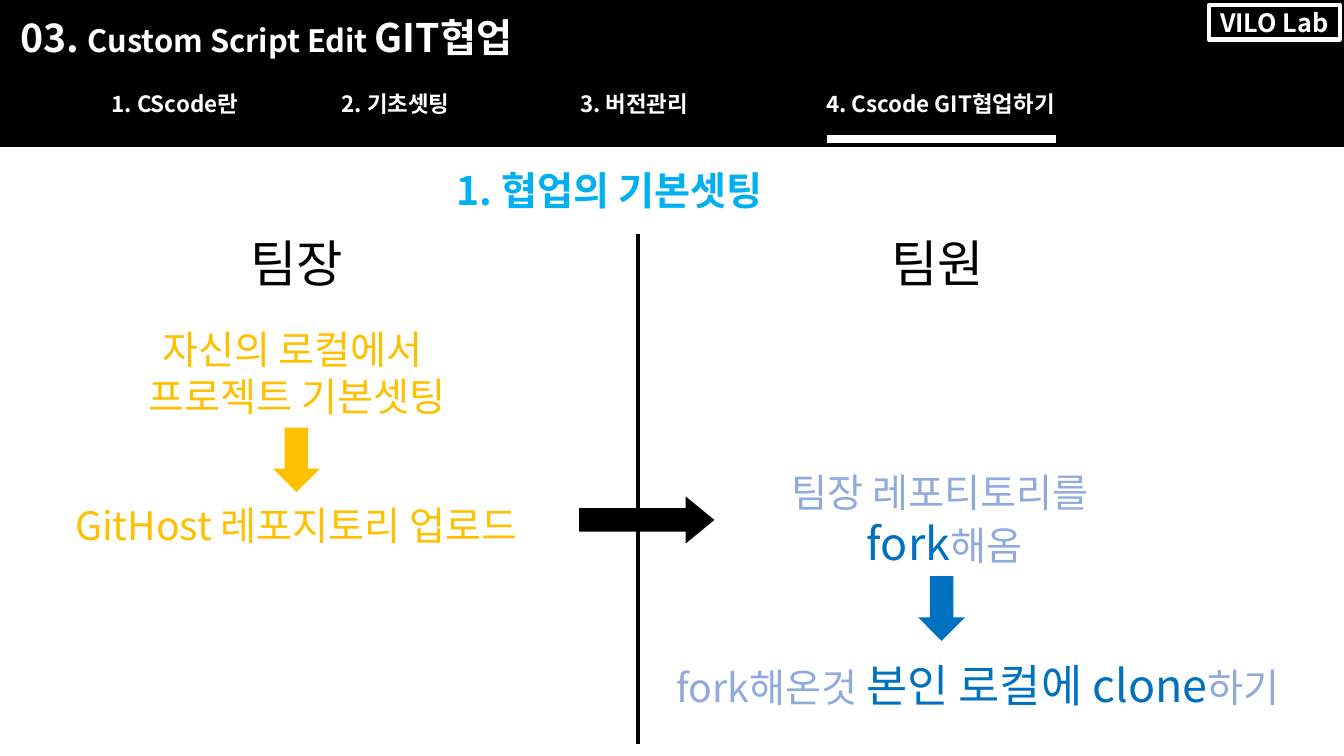
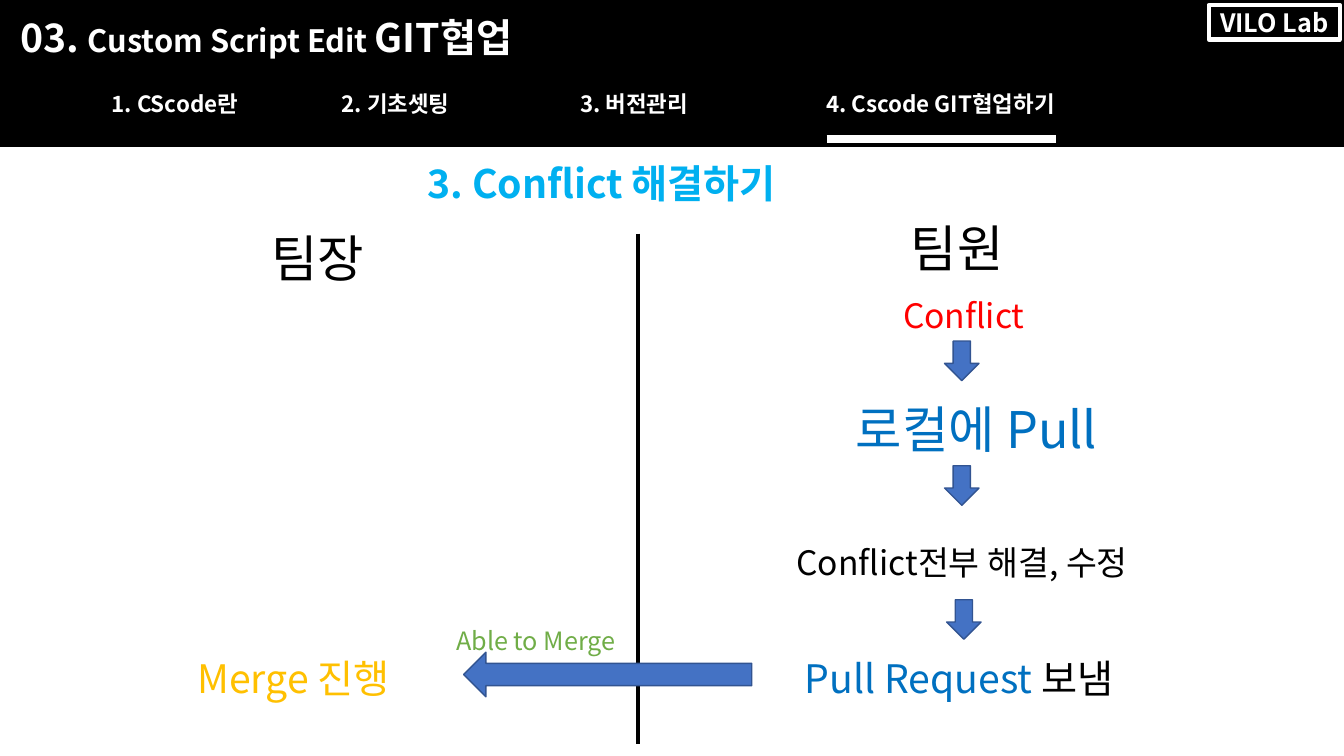
from pptx import Presentation
from pptx.dml.color import RGBColor
from pptx.enum.shapes import MSO_CONNECTOR as Link, MSO_SHAPE as Kind
from pptx.enum.text import MSO_ANCHOR as Anchor, MSO_AUTO_SIZE as Auto, PP_ALIGN as Align
from pptx.oxml.ns import qn
from pptx.util import Inches, Pt
from lxml.etree import SubElement as Sub

FONT = "Noto Sans CJK KR"
WHITE, BLACK, CYAN, GOLD = "FFFFFF", "000000", "00B0F0", "FFC000"
PALE, BLUE, RED, GREEN = "8FAADC", "0070C0", "FF0000", "70AD47"
STEEL, NAVY = "4472C4", "325491"
COLS, ROWS = 160, 90
MID = 76
STEP = 61.3
TABS = [(12.1, 29.9, "1. CScode란"), (39.5, 24.2, "2. 기초셋팅"),
        (67.9, 24.2, "3. 버전관리"), (97.2, 33.4, "4. Cscode GIT협업하기")]


def cell(num):
    """Turn grid cells, twelve to the inch, into a length."""
    return Inches(num / 12)


def hue(code):
    """Turn a hex string into a colour."""
    return RGBColor.from_string(code)


def put(item, form):
    """Set every attribute named in a dict of format values."""
    for name, value in form.items():
        setattr(item, name, value)


def place(shape, col, row, wide, high):
    """Move a shape to its grid cells."""
    put(shape, dict(left=cell(col), top=cell(row), width=cell(wide), height=cell(high)))


def write(shape, paras, frame, align=Align.CENTER, bold=False):
    """Fill a shape with paragraphs of (text, size, colour) runs."""
    body = shape.text_frame
    put(body, dict(word_wrap=True) | frame)
    for num, runs in enumerate(paras):
        para = body.add_paragraph() if num else body.paragraphs[0]
        para.alignment = align
        for words, size, code in runs:
            run = para.add_run()
            run.text = words
            put(run.font, dict(name=FONT, size=Pt(size), bold=bold))
            run.font.color.rgb = hue(code)
            Sub(run.font._element, qn("a:ea"), typeface=FONT)


def label(slide, col, row, wide, *paras, **form):
    """Add a text box as high as its lines need."""
    high = 1.2 + sum(max(size for _, size, _ in runs) for runs in paras) / 5
    box = slide.shapes.add_textbox(cell(col), cell(row), cell(wide), cell(high))
    write(box, paras, dict(auto_size=Auto.SHAPE_TO_FIT_TEXT), **form)


def shape(slide, kind, spot, fill=None, edge=None, thick=1):
    """Add a preset shape with an optional fill and edge."""
    item = slide.shapes.add_shape(kind, *map(cell, spot))
    item.shadow.inherit = False
    for paint, code in ((item.fill, fill), (item.line.fill, edge)):
        if code:
            paint.solid()
            paint.fore_color.rgb = hue(code)
        else:
            paint.background()
    if edge:
        item.line.width = Pt(thick)
    return item


def rule(slide, start, end, code, thick):
    """Draw a straight line between two grid points."""
    line = slide.shapes.add_connector(Link.STRAIGHT, *map(cell, start + end))
    line.line.color.rgb = hue(code)
    line.line.width = Pt(thick)
    Sub(line._element.spPr, qn("a:effectLst"))


def base(deck, head, spot, lead, mate):
    """Add a slide with its band, title, tabs, heading and two columns."""
    slide = deck.slides.add_slide(deck.slide_layouts[5])
    band = shape(slide, Kind.RECTANGLE, (0, 0, COLS, 17.4), BLACK, BLACK)
    slide.shapes._spTree.insert(2, band._element)
    title = slide.shapes.title
    place(title, 1.2, 1, 70.2, 6.8)
    write(title, [[("03. ", 28, WHITE), ("Custom Script Edit ", 22, WHITE),
                   ("GIT협업", 28, WHITE)]],
          dict(vertical_anchor=Anchor.MIDDLE, auto_size=Auto.SHAPE_TO_FIT_TEXT),
          Align.LEFT, True)
    badge = shape(slide, Kind.RECTANGLE, (143.9, 0.6, 15.6, 4.1), None, WHITE, 3)
    write(badge, [[("VILO Lab", 18, WHITE)]],
          dict(vertical_anchor=Anchor.MIDDLE, margin_left=0, margin_right=0,
               margin_top=0, margin_bottom=0), bold=True)
    for col, wide, words in TABS:
        label(slide, col, 10.15, wide, [(words, 16, WHITE)], align=Align.LEFT, bold=True)
    rule(slide, (98.4, 16.55), (125.75, 16.55), WHITE, 6)
    label(slide, *spot, [(head, 28, CYAN)], align=Align.LEFT, bold=True)
    for place_at, words in ((lead, "팀장"), (mate, "팀원")):
        label(slide, *place_at, 14.9, [(words, 36, BLACK)])
    rule(slide, (MID, 27.8), (MID, 88.6), BLACK, 3)
    return slide


def setup(deck):
    """Build the slide on the first setup of the team."""
    slide = base(deck, "1. 협업의 기본셋팅", (53.2, 19.2, 51.8), (27.9, 27), (104.2, 27))
    label(slide, 4.7, 38.1, STEP, [("자신의 로컬에서 ", 28, GOLD)],
          [("프로젝트 기본셋팅", 28, GOLD)])
    label(slide, 1.6, 59.1, 67.4, [("GitHost 레포지토리 업로드", 28, GOLD)])
    label(slide, 81.8, 55.2, STEP, [("팀장 레포티토리를 ", 28, PALE)],
          [("fork", 32, BLUE), ("해옴", 28, PALE)])
    label(slide, MID, 77.65, 80.9, [("fork해온것 ", 28, PALE),
                                    ("본인 로컬에 clone", 32, BLUE), ("하기", 28, PALE)])
    for col, row, code in ((32.5, 50.9, GOLD), (109.3, 68.6, BLUE)):
        shape(slide, Kind.DOWN_ARROW, (col, row, 5.6, 7.7), code)
    push = shape(slide, Kind.RIGHT_ARROW, (68.95, 59.1, 16.1, 5.6), BLACK)
    push.adjustments[1] = 0.61


def solve(deck):
    """Build the slide on solving a conflict."""
    slide = base(deck, "3. Conflict 해결하기", (49.7, 18.4, 62.4), (30.4, 26.5), (106.5, 25.2))
    steps = [(4.3, 77.3, [("Merge 진행", 28, GOLD)]),
             (84.1, 34.5, [("Conflict", 24, RED)]),
             (85.6, 46.8, [("로컬에 Pull", 36, BLUE)]),
             (83.9, 63.9, [("Conflict전부 해결, 수정", 24, BLACK)]),
             (83.5, 77.3, [("Pull Request ", 28, BLUE), ("보냄", 28, BLACK)]),
             (33.15, 73.8, [("Able to Merge", 18, GREEN)])]
    for col, row, runs in steps:
        label(slide, col, row, STEP, runs)
    for col, row in ((112.45, 40.6), (112.45, 55.45), (112.7, 71.4)):
        shape(slide, Kind.DOWN_ARROW, (col, row, 4.1, 4.7), STEEL, NAVY)
    shape(slide, Kind.LEFT_ARROW, (55.2, 77.65, 34.3, 5.3), STEEL, NAVY)


def main():
    """Build and save the deck."""
    deck = Presentation()
    put(deck, dict(slide_width=cell(COLS), slide_height=cell(ROWS)))
    setup(deck)
    solve(deck)
    deck.save("out.pptx")


if __name__ == "__main__":
    main()
